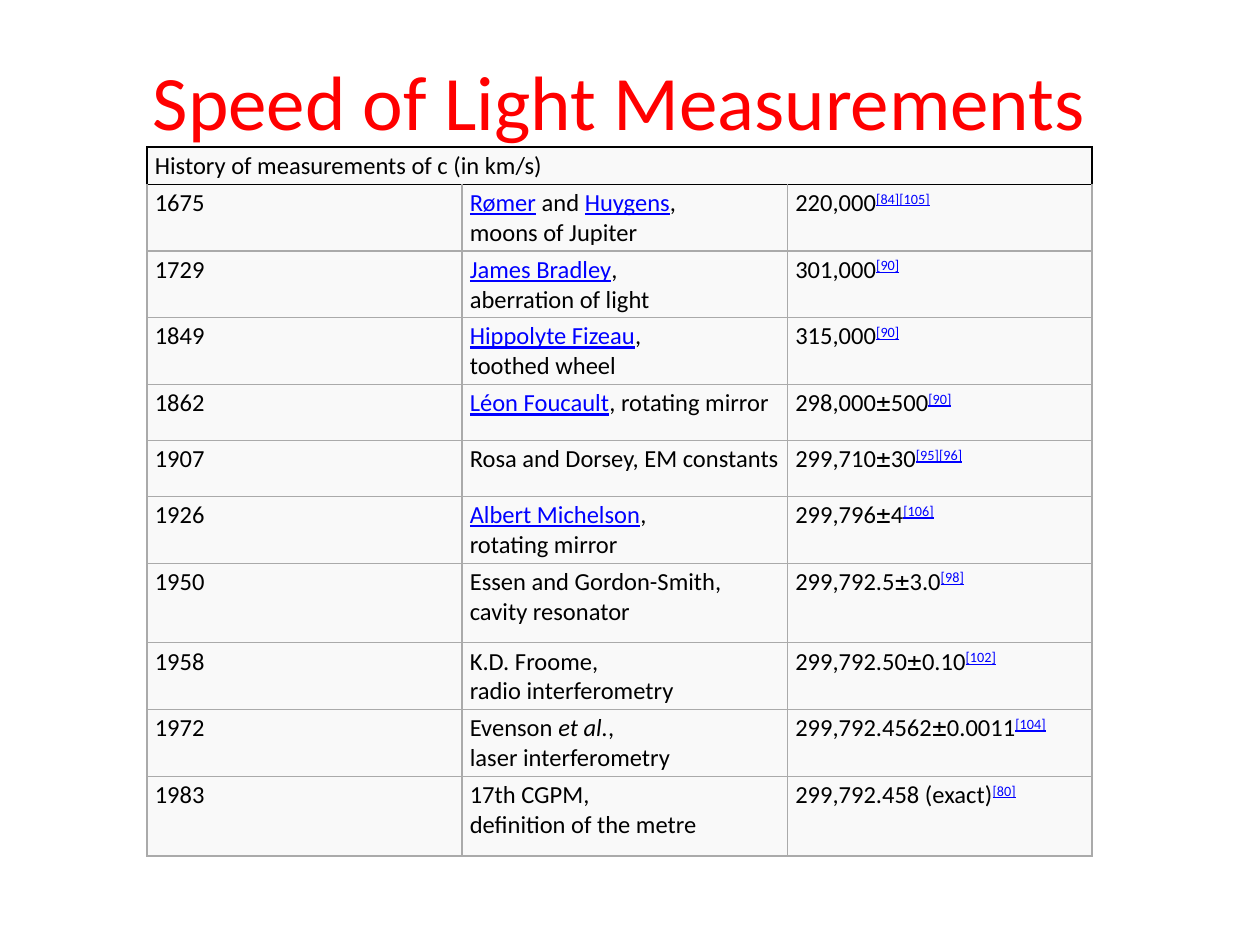
from lxml import etree
from pptx import Presentation
from pptx.dml.color import RGBColor
from pptx.enum.text import MSO_ANCHOR, PP_ALIGN
from pptx.oxml.ns import qn
from pptx.util import Pt

CENTER, MIDDLE, TOP = PP_ALIGN.CENTER, MSO_ANCHOR.MIDDLE, MSO_ANCHOR.TOP
FONT, SIGN_FONT = "Calibri", "DejaVu Sans Mono"
BLACK, RED, BLUE, GREY, PALE = "000000", "FF0000", "0000FF", "AAAAAA", "F9F9F9"

TITLE = "Speed of Light Measurements"
HEADER = "History of measurements of c (in km/s)"

# Year, method as (text, style) runs, value, references
MEASUREMENTS = [
    ("1675", [("Rømer", "link"), (" and ", ""), ("Huygens", "link"),
              (", moons of Jupiter", "")], "220,000", "[84][105]"),
    ("1729", [("James Bradley", "link"), (", aberration of light", "")], "301,000", "[90]"),
    ("1849", [("Hippolyte Fizeau", "link"), (", toothed wheel", "")], "315,000", "[90]"),
    ("1862", [("Léon Foucault", "link"), (", rotating mirror", "")], "298,000±500", "[90]"),
    ("1907", [("Rosa and Dorsey, EM constants", "")], "299,710±30", "[95][96]"),
    ("1926", [("Albert Michelson", "link"), (", rotating mirror", "")], "299,796±4", "[106]"),
    ("1950", [("Essen and Gordon-Smith, cavity resonator", "")], "299,792.5±3.0", "[98]"),
    ("1958", [("K.D. Froome, radio interferometry", "")], "299,792.50±0.10", "[102]"),
    ("1972", [("Evenson ", ""), ("et al.", "italic"), (", laser interferometry", "")],
     "299,792.4562±0.0011", "[104]"),
    ("1983", [("17th CGPM, definition of the metre", "")], "299,792.458 (exact)", "[80]"),
]
COLUMN_WIDTHS = [180, 186, 174]
HEADER_HEIGHT, ROW_HEIGHT, TALL_HEIGHT = 18, 32, 45.6
TALL_YEARS = {"1950", "1983"}


def color(value):
    return RGBColor.from_string(value)


def keep_together(text):
    """Let lines break only after a comma."""
    fixed_space = chr(160)
    return text.replace(" ", fixed_space).replace("," + fixed_space, ", ")


def value_runs(value, references):
    number, sign, error = value.partition("±")
    runs = [(number, ""), (sign, "sign"), (error, ""), (references, "reference")]
    return [run for run in runs if run[0]]


def add_run(paragraph, text, style="", size=14, text_color=BLACK):
    run = paragraph.add_run()
    run.text = text
    font = run.font
    linked = style in ("link", "reference")
    font.name = SIGN_FONT if style == "sign" else FONT
    font.size = Pt(size)
    font.color.rgb = color(BLUE if linked else text_color)
    font.underline = linked
    font.italic = style == "italic"
    font.bold = False
    if style == "reference":
        font._element.set("baseline", "30000")


def set_borders(cell, sides, width):
    properties = cell._tc.get_or_add_tcPr()
    for side, line_color in sides.items():
        line = etree.SubElement(properties, qn(f"a:ln{side}"), w=str(Pt(width)))
        fill = etree.SubElement(line, qn("a:solidFill"))
        etree.SubElement(fill, qn("a:srgbClr"), val=line_color)


def fill_cell(cell, runs, anchor=TOP):
    cell.fill.solid()
    cell.fill.fore_color.rgb = color(PALE)
    cell.margin_left = cell.margin_right = Pt(4.5)
    cell.margin_top = cell.margin_bottom = Pt(2.25)
    cell.vertical_anchor = anchor
    for text, style in runs:
        add_run(cell.text_frame.paragraphs[0], keep_together(text), style)


presentation = Presentation()
presentation.slide_width, presentation.slide_height = Pt(720), Pt(540)
slide = presentation.slides.add_slide(presentation.slide_layouts[6])

# Title
title_frame = slide.shapes.add_textbox(Pt(30), Pt(12), Pt(648), Pt(90)).text_frame
title_frame.word_wrap = True
title_frame.vertical_anchor = MIDDLE
title_frame.paragraphs[0].alignment = CENTER
add_run(title_frame.paragraphs[0], TITLE, size=44, text_color=RED)

# Table grid
heights = [HEADER_HEIGHT] + [TALL_HEIGHT if row[0] in TALL_YEARS else ROW_HEIGHT
                             for row in MEASUREMENTS]
table = slide.shapes.add_table(len(heights), len(COLUMN_WIDTHS), Pt(84), Pt(84),
                               Pt(sum(COLUMN_WIDTHS)), Pt(sum(heights))).table
table.first_row = table.horz_banding = False
for column, width in zip(table.columns, COLUMN_WIDTHS):
    column.width = Pt(width)
for row, height in zip(table.rows, heights):
    row.height = Pt(height)

# Header across all columns
header = table.cell(0, 0)
header.merge(table.cell(0, len(COLUMN_WIDTHS) - 1))
for cell in table.rows[0].cells:
    set_borders(cell, dict.fromkeys("LRTB", BLACK), 1)
fill_cell(header, [(HEADER, "")], MIDDLE)

# Measurements
for index, (year, method, value, references) in enumerate(MEASUREMENTS, start=1):
    contents = [[(year, "")], method, value_runs(value, references)]
    for cell, runs in zip(table.rows[index].cells, contents):
        sides = dict.fromkeys("LRTB", GREY)
        if index == 1:
            sides["T"] = BLACK
        set_borders(cell, sides, 0.75)
        fill_cell(cell, runs)

presentation.save("out.pptx")
